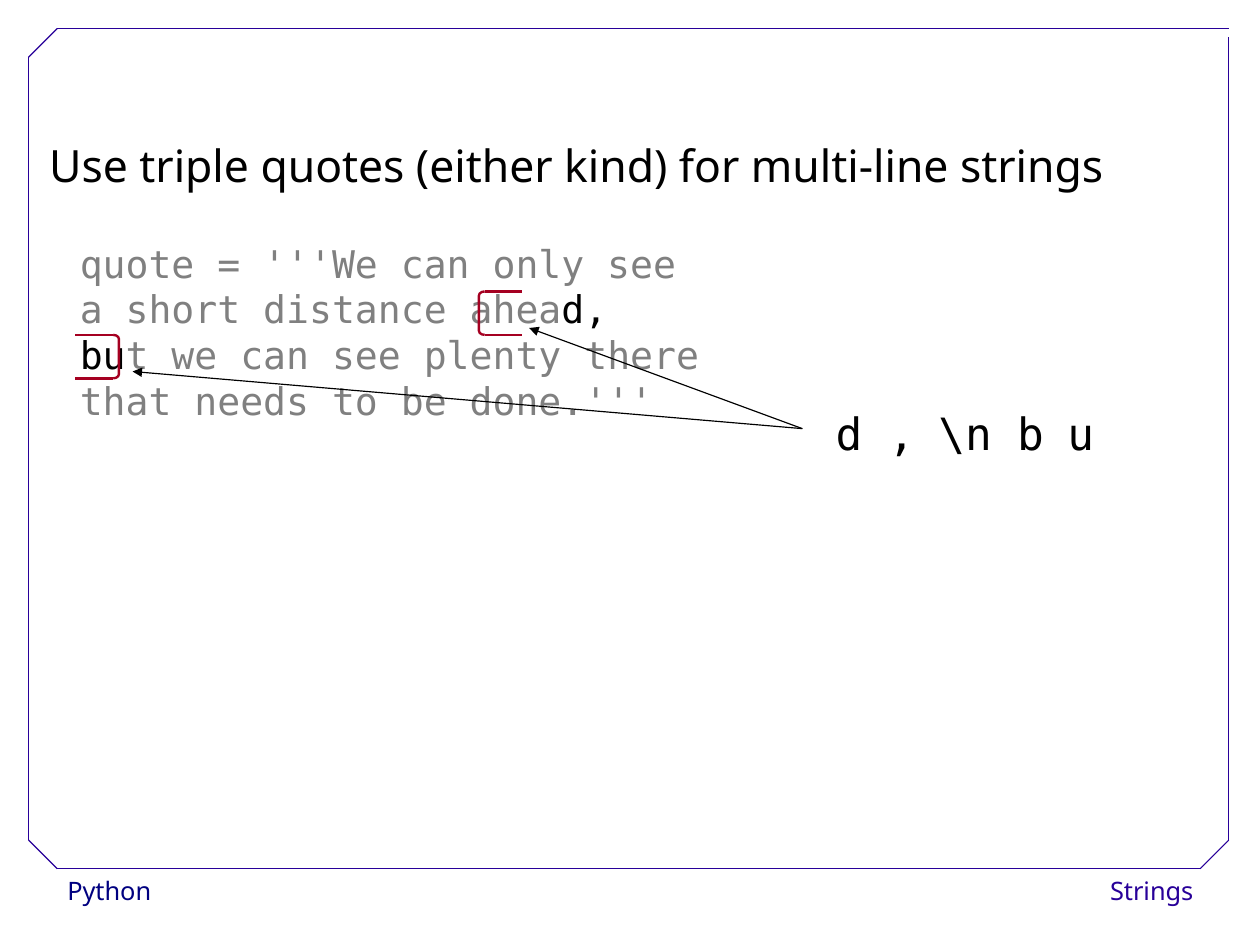
from lxml.etree import SubElement
from pptx import Presentation
from pptx.dml.color import RGBColor
from pptx.enum.shapes import MSO_CONNECTOR, MSO_SHAPE
from pptx.enum.text import MSO_ANCHOR, MSO_AUTO_SIZE, PP_ALIGN
from pptx.oxml.ns import qn
from pptx.util import Inches, Pt

BLACK = RGBColor(0x00, 0x00, 0x00)
WHITE = RGBColor(0xFF, 0xFF, 0xFF)
GRAY = RGBColor(0x80, 0x80, 0x80)
NAVY = RGBColor(0x00, 0x00, 0x80)
INDIGO = RGBColor(0x28, 0x00, 0x99)
CRIMSON = RGBColor(0xA5, 0x00, 0x21)
SANS = "Noto Sans"
MONO = "DejaVu Sans Mono"

CM_PER_INCH = 2.54
SLIDE_CM = (28, 21)
HEADING = "Use triple quotes (either kind) for multi-line strings"
QUOTE_CODE = [
    [("quote = '''We can only see", GRAY)],
    [("a short distance ahea", GRAY), ("d,", BLACK)],
    [("bu", BLACK), ("t we can see plenty there", GRAY)],
    [("that needs to be done.'''", GRAY)],
]
CHARACTERS = [("d", 0.46), (",", 0.44), ("\\n", 0.69), ("b", 0.44), ("u", 0.44)]
FOOTERS = [
    ("Python", 0.49, 2.15, NAVY, PP_ALIGN.LEFT),
    ("Strings", 9.14, 1.4, INDIGO, PP_ALIGN.RIGHT),
]
LEFT, RIGHT, TOP, BOTTOM, CORNER = 0.25, 10.75, 0.25, 7.6, 0.25
BORDER = [
    ((LEFT + CORNER, BOTTOM), (RIGHT - CORNER, BOTTOM)),
    ((LEFT, BOTTOM - CORNER), (LEFT, TOP + CORNER)),
    ((LEFT + CORNER, TOP), (RIGHT, TOP)),
    ((RIGHT, BOTTOM - CORNER), (RIGHT, 0.32)),
    ((LEFT, TOP + CORNER), (LEFT + CORNER, TOP)),
    ((RIGHT - CORNER, BOTTOM), (RIGHT, BOTTOM - CORNER)),
    ((LEFT, BOTTOM - CORNER), (LEFT + CORNER, BOTTOM)),
]
BRACKET_HEIGHT, BRACKET_CURVE, BRACKET_ARM = 0.38, 0.05, 0.33
BRACKETS = [
    (MSO_SHAPE.LEFT_BRACKET, 4.19, 2.55, 4.24, 1),
    (MSO_SHAPE.RIGHT_BRACKET, 0.99, 2.93, 0.99, -1),
]
ARROW_START = (7.02, 3.75)
ARROW_TIPS = [(4.63, 2.87), (1.16, 3.25)]


def add_text(paragraph, text, size, font_name, color):
    run = paragraph.add_run()
    run.text = text
    run.font.size = Pt(size)
    run.font.name = font_name
    run.font.bold = False
    run.font.color.rgb = color


def add_line(shapes, start, end, color, width=0.75, arrow=False):
    line = shapes.add_connector(
        MSO_CONNECTOR.STRAIGHT, *(Inches(value) for value in (*start, *end)))
    line.line.color.rgb = color
    line.line.width = Pt(width)
    if arrow:
        SubElement(line.line._get_or_add_ln(), qn("a:tailEnd"), type="triangle")
    SubElement(line._element.spPr, qn("a:effectLst"))


def add_footer(shapes, text, left, width, color, alignment):
    footer = shapes.add_textbox(Inches(left), Inches(7.6), Inches(width), Inches(0.4))
    footer.fill.solid()
    footer.fill.fore_color.rgb = WHITE
    footer.text_frame.word_wrap = False
    paragraph = footer.text_frame.paragraphs[0]
    paragraph.alignment = alignment
    paragraph.line_spacing = 1.02
    add_text(paragraph, text, 16, SANS, color)


def add_heading(shapes):
    heading = shapes.title
    heading.left, heading.top = Inches(0.33), Inches(0.92)
    heading.width, heading.height = Inches(10.42), Inches(0.8)
    frame = heading.text_frame
    frame.word_wrap = False
    frame.auto_size = MSO_AUTO_SIZE.SHAPE_TO_FIT_TEXT
    frame.vertical_anchor = MSO_ANCHOR.TOP
    paragraph = frame.paragraphs[0]
    paragraph.alignment = PP_ALIGN.LEFT
    paragraph.line_spacing = 1.5
    add_text(paragraph, HEADING, 28, SANS, BLACK)


def add_quote_code(shapes):
    frame = shapes.add_textbox(
        Inches(0.6), Inches(2.05), Inches(5.7), Inches(2.27)).text_frame
    frame.word_wrap = False
    for index, code_line in enumerate(QUOTE_CODE):
        paragraph = frame.add_paragraph() if index else frame.paragraphs[0]
        for text, color in code_line:
            add_text(paragraph, text, 24, MONO, color)


def add_characters(shapes):
    width = sum(column_width for _, column_width in CHARACTERS)
    characters = shapes.add_table(
        1, len(CHARACTERS), Inches(7.21), Inches(3.56), Inches(width), Inches(0.57)).table
    characters.first_row = False
    characters.horz_banding = False
    for index, (character, column_width) in enumerate(CHARACTERS):
        characters.columns[index].width = Inches(column_width)
        cell = characters.cell(0, index)
        cell.fill.background()
        paragraph = cell.text_frame.paragraphs[0]
        paragraph.line_spacing = 0.93
        add_text(paragraph, character, 28, MONO, BLACK)


def add_bracket(shapes, preset, left, top, arm_start, direction):
    curve = shapes.add_shape(
        preset, Inches(left), Inches(top), Inches(BRACKET_CURVE), Inches(BRACKET_HEIGHT))
    curve.shadow.inherit = False
    curve.adjustments[0] = 0.7
    curve.fill.background()
    curve.line.color.rgb = CRIMSON
    curve.line.width = Pt(1.5)
    for y in (top + BRACKET_HEIGHT, top):
        arm_end = arm_start + direction * BRACKET_ARM
        add_line(shapes, (arm_start, y), (arm_end, y), CRIMSON, 1.5)


def main():
    presentation = Presentation()
    slide_width, slide_height = SLIDE_CM
    presentation.slide_width = Inches(slide_width / CM_PER_INCH)
    presentation.slide_height = Inches(slide_height / CM_PER_INCH)
    presentation.element.sldSz.attrib.pop("type", None)
    shapes = presentation.slides.add_slide(presentation.slide_layouts[5]).shapes
    for footer in FOOTERS:
        add_footer(shapes, *footer)
    for start, end in BORDER:
        add_line(shapes, start, end, INDIGO)
    add_quote_code(shapes)
    add_characters(shapes)
    for bracket in BRACKETS:
        add_bracket(shapes, *bracket)
    for tip in ARROW_TIPS:
        add_line(shapes, ARROW_START, tip, BLACK, arrow=True)
    add_heading(shapes)
    presentation.save("out.pptx")


if __name__ == "__main__":
    main()
